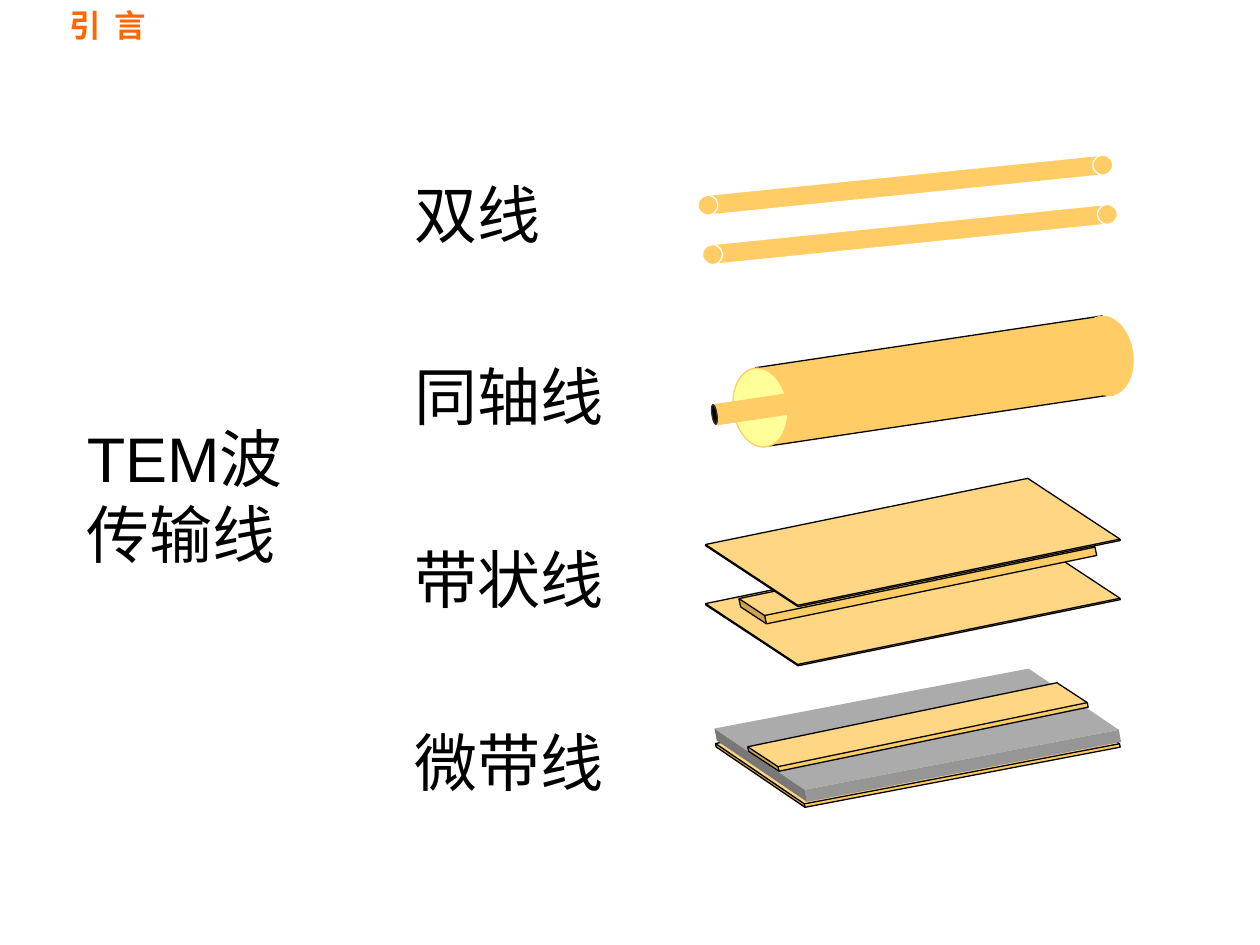
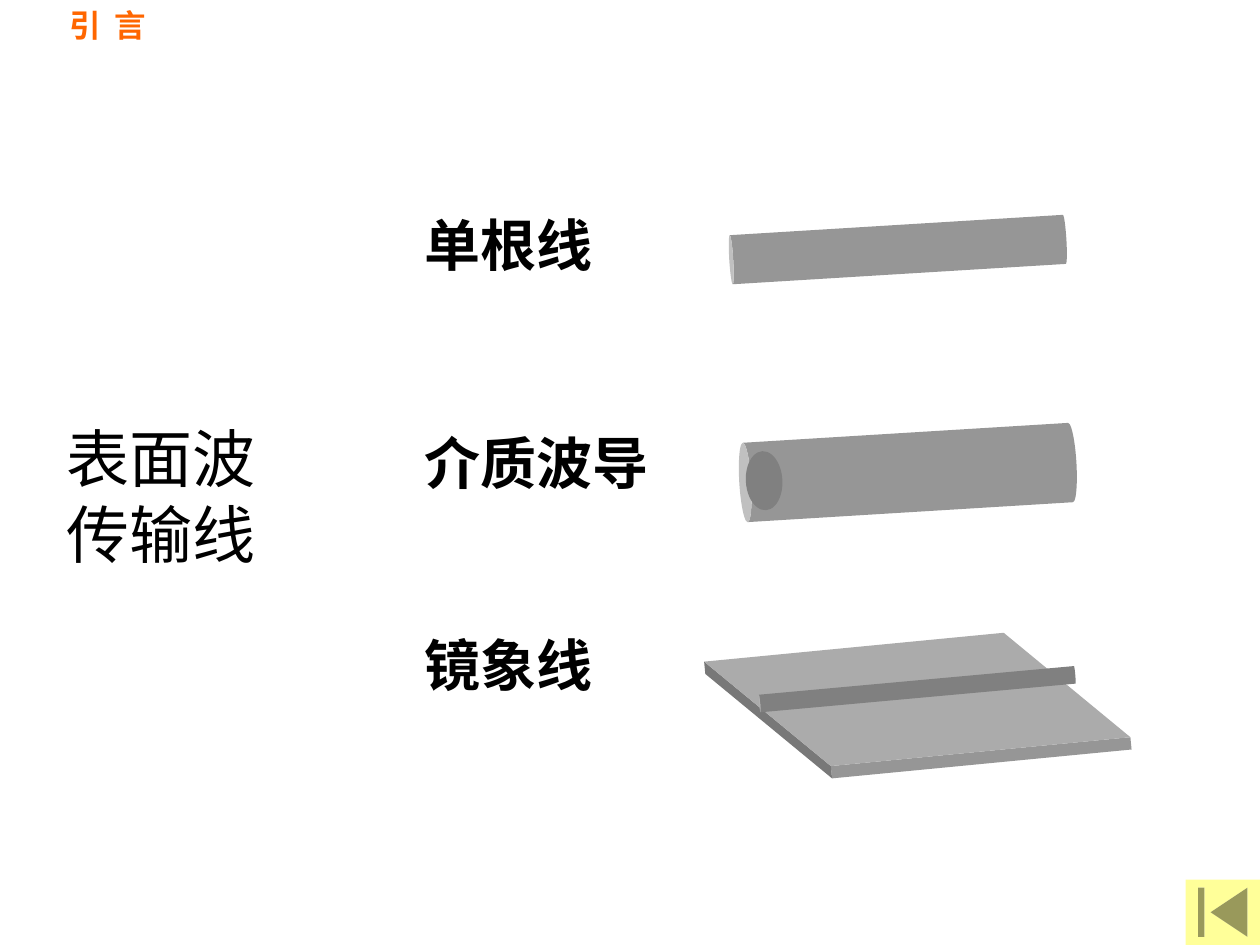
from dataclasses import dataclass
from math import cos, radians, sin

from pptx import Presentation
from pptx.dml.color import RGBColor
from pptx.enum.shapes import MSO_SHAPE
from pptx.enum.text import MSO_ANCHOR, PP_ALIGN
from pptx.util import Pt


@dataclass(frozen=True)
class Theme:
    font: str = "Arial"
    ink: str = "000000"
    heading: str = "FF6600"
    copper: str = "FFCC66"
    dielectric: str = "FFFF99"
    metal: str = "969696"
    dark_metal: str = "808080"
    core_edge: str = "333333"
    white: str = "FFFFFF"
    heading_size: float = 18
    family_size: float = 36
    tem_size: float = 36
    surface_size: float = 32
    outline: float = 0.75


THEME = Theme()
TITLE_ONLY = 5


def place(target, box):
    target.left, target.top, target.width, target.height = map(Pt, box)


def set_insets(frame, left=7.2, top=3.6, right=7.2, bottom=3.6):
    frame.margin_left, frame.margin_top = Pt(left), Pt(top)
    frame.margin_right, frame.margin_bottom = Pt(right), Pt(bottom)
    frame.word_wrap = True
    frame.vertical_anchor = MSO_ANCHOR.TOP


def add_run(paragraph, wording, size, color=THEME.ink, bold=False):
    run = paragraph.add_run()
    run.text = wording
    run.font.name = THEME.font
    run.font.size = Pt(size)
    run.font.bold = bold
    run.font.color.rgb = RGBColor.from_string(color)
    return run


def add_titled_slide(deck):
    slide = deck.slides.add_slide(deck.slide_layouts[TITLE_ONLY])
    heading = slide.shapes.title
    place(heading, (0, 0, 99.4, 28.8))
    set_insets(heading.text_frame, left=39.5)
    paragraph = heading.text_frame.paragraphs[0]
    paragraph.alignment = PP_ALIGN.LEFT
    spaced = add_run(paragraph, "引 ", THEME.heading_size, THEME.heading, True)
    spaced.font._element.set("spc", "200")
    add_run(paragraph, "言", THEME.heading_size, THEME.heading, True)
    return slide


def add_labels(slide, box, labels, size, gaps=(), bold=False, top_inset=3.6):
    frame = slide.shapes.add_textbox(*map(Pt, box)).text_frame
    set_insets(frame, top=top_inset)
    for index, label in enumerate(labels):
        paragraph = frame.add_paragraph() if index else frame.paragraphs[0]
        if index:
            paragraph.space_before = Pt(gaps[index - 1])
        add_run(paragraph, label, size, bold=bold)


def add_solid(shapes, preset, box, tilt, fill, edge=None, depth=None):
    solid = shapes.add_shape(preset, *map(Pt, box))
    solid.rotation = tilt
    solid.shadow.inherit = False
    solid.fill.solid()
    solid.fill.fore_color.rgb = RGBColor.from_string(fill)
    if edge:
        solid.line.color.rgb = RGBColor.from_string(edge)
        solid.line.width = Pt(THEME.outline)
    else:
        solid.line.fill.background()
    if depth is not None:
        solid.adjustments[0] = depth
    return solid


def add_slab(shapes, box, tilt, depth, fill=THEME.copper, edge=THEME.ink):
    slab = add_solid(shapes, MSO_SHAPE.CUBE, box, tilt, fill, edge, depth)
    slab._element.spPr.xfrm.set("flipH", "1")


def add_group(slide):
    return slide.shapes.add_group_shape().shapes


def draw_twin_wires(slide):
    wires = add_group(slide)
    length, gauge, tilt = 226.8, 11.4, 354.2
    reach_x = length / 2 * cos(radians(tilt))
    reach_y = length / 2 * sin(radians(tilt))
    for center_x, center_y in ((517.4, 105.8), (520, 134)):
        left, top = center_x - length / 2, center_y - gauge / 2
        add_solid(wires, MSO_SHAPE.RECTANGLE, (left, top, length, gauge),
                  tilt, THEME.copper, THEME.white)
        for side in (-1, 1):
            cap = (center_x + side * reach_x - gauge / 2,
                   center_y + side * reach_y - gauge / 2, gauge, gauge)
            add_solid(wires, MSO_SHAPE.OVAL, cap, tilt, THEME.copper, THEME.white)


def draw_coaxial_line(slide):
    coax = add_group(slide)
    for preset, box, fill, edge in (
        (MSO_SHAPE.RECTANGLE, (434.2, 195.1, 200.2, 45.4), THEME.copper, THEME.ink),
        (MSO_SHAPE.OVAL, (419, 210.2, 31, 45.4), THEME.dielectric, THEME.copper),
        (MSO_SHAPE.OVAL, (616.3, 180.7, 31, 45.4), THEME.copper, THEME.copper),
        (MSO_SHAPE.RECTANGLE, (409, 226.8, 59.8, 11.5), THEME.copper, THEME.copper),
        (MSO_SHAPE.OVAL, (406.8, 231.1, 2.9, 11.5), THEME.ink, THEME.core_edge),
    ):
        add_solid(coax, preset, box, 351.5, fill, edge)


def draw_stripline(slide):
    stripline = add_group(slide)
    lower_plate, upper_plate = ((405.4, top, 232.6, 45.4) for top in (321.1, 287.3))
    add_slab(stripline, lower_plate, 348.4, 0.983)
    add_slab(stripline, (421.9, 321.1, 205.2, 17.3), 348.3, 0.721)
    add_slab(stripline, upper_plate, 348.4, 0.983)


def draw_microstrip(slide):
    microstrip = add_group(slide)
    add_slab(microstrip, (411.1, 403.2, 226.8, 45.4), 349.2, 0.956)
    add_slab(microstrip, (411.1, 394.6, 226.8, 51.1), 349.2, 0.862, THEME.metal, None)
    add_slab(microstrip, (427, 406.8, 195.1, 17.3), 348.3, 0.846)


def draw_single_wire(slide):
    add_solid(slide.shapes, MSO_SHAPE.CAN, (499, 46.1, 28.1, 193), 266.5,
              THEME.metal, depth=0.081)


def draw_dielectric_guide(slide):
    guide = add_group(slide)
    add_solid(guide, MSO_SHAPE.CAN, (496.1, 173.5, 45.4, 193), 266.5,
              THEME.metal, depth=0.15)
    add_solid(guide, MSO_SHAPE.OVAL, (426.2, 257.8, 20.9, 33.8), 356.5,
              THEME.dark_metal)


def draw_image_line(slide):
    image_line = add_group(slide)
    add_slab(image_line, (405.4, 366.5, 238.3, 73.4), 354.5, 0.904, THEME.metal, None)
    add_solid(image_line, MSO_SHAPE.CAN, (519.1, 303.1, 10.1, 181.4), 264.8,
              THEME.dark_metal, depth=0.059)


def build_tem_slide(deck):
    slide = add_titled_slide(deck)
    for draw in (draw_twin_wires, draw_coaxial_line, draw_stripline, draw_microstrip):
        draw(slide)
    add_labels(slide, (229.7, 100.1, 130.3, 368.6),
               ("双线", "同轴线", "带状线", "微带线"),
               THEME.tem_size, gaps=(61.2,) * 3, top_inset=0)
    add_labels(slide, (42.5, 236.2, 136.1, 93.6), ("TEM波传输线",), THEME.family_size)


def build_surface_wave_slide(deck):
    slide = add_titled_slide(deck)
    add_labels(slide, (235.4, 116.6, 158.4, 334.8),
               ("单根线", "介质波导", "镜象线"),
               THEME.surface_size, gaps=(86.4, 76.8), bold=True)
    for draw in (draw_dielectric_guide, draw_single_wire, draw_image_line):
        draw(slide)
    add_labels(slide, (31, 236.2, 130.3, 93.6), ("表面波传输线",), THEME.family_size)
    add_solid(slide.shapes, MSO_SHAPE.ACTION_BUTTON_BEGINNING,
              (677.5, 502.6, 42.5, 37.4), 0, THEME.dielectric)


def main():
    deck = Presentation()
    deck.slide_width, deck.slide_height = Pt(720), Pt(540)
    build_tem_slide(deck)
    build_surface_wave_slide(deck)
    deck.save("out.pptx")


if __name__ == "__main__":
    main()
